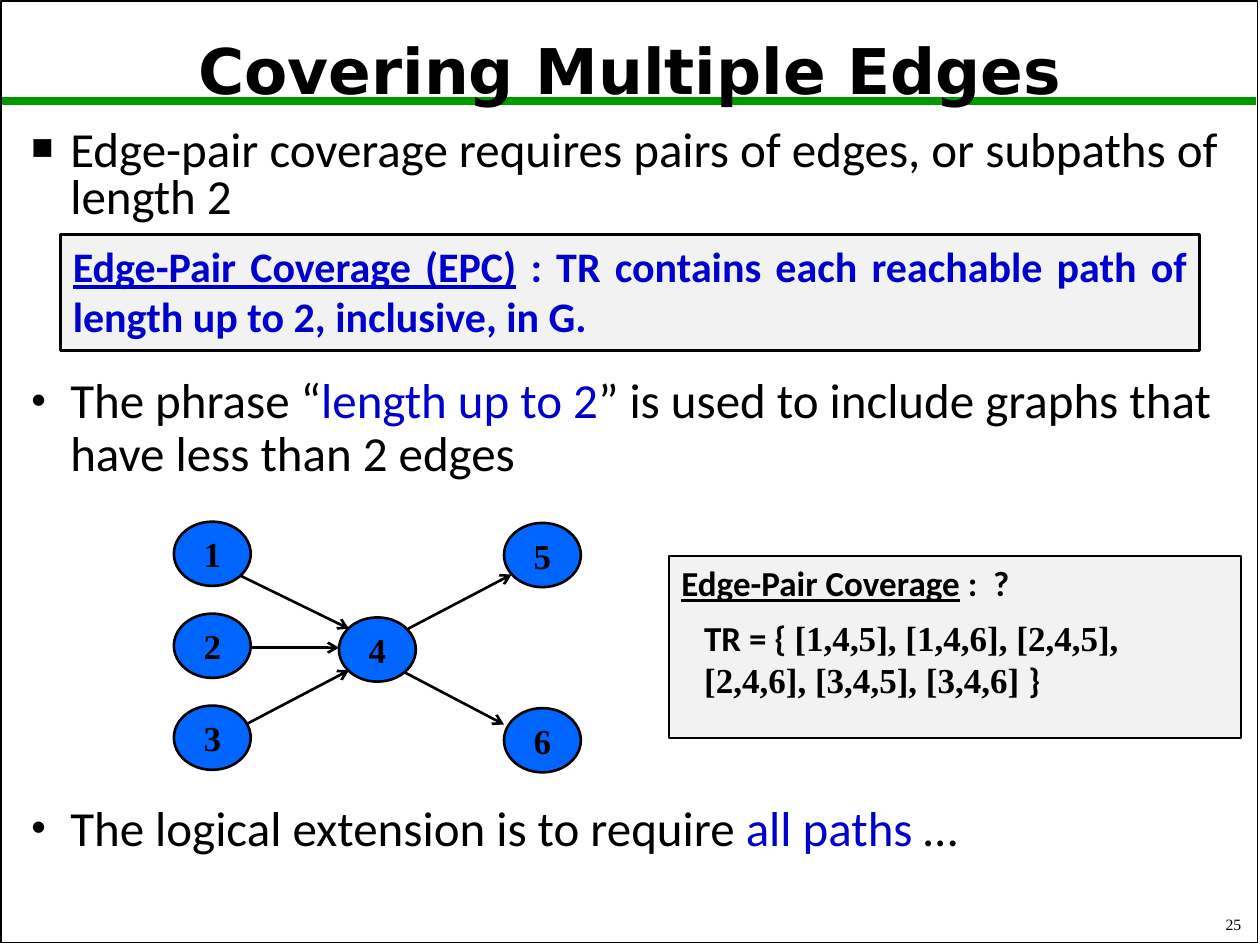
from lxml import etree
from pptx import Presentation
from pptx.dml.color import RGBColor
from pptx.enum.shapes import MSO_CONNECTOR, MSO_SHAPE
from pptx.enum.text import MSO_ANCHOR, PP_ALIGN
from pptx.oxml.ns import qn
from pptx.util import Inches, Pt

STRAIGHT = MSO_CONNECTOR.STRAIGHT
RECTANGLE, OVAL = MSO_SHAPE.RECTANGLE, MSO_SHAPE.OVAL
TOP, MIDDLE, BOTTOM = MSO_ANCHOR.TOP, MSO_ANCHOR.MIDDLE, MSO_ANCHOR.BOTTOM
LEFT, CENTER, RIGHT, JUSTIFY = PP_ALIGN.LEFT, PP_ALIGN.CENTER, PP_ALIGN.RIGHT, PP_ALIGN.JUSTIFY
BLACK, BLUE, GREEN = "000000", "0000CC", "009900"
NODE_BLUE, PALE_GREY = "0066FF", "F2F2F2"
SANS, SERIF, TITLE_FONT = "Calibri", "Times New Roman", "DejaVu Sans"

presentation = Presentation()
presentation.slide_width, presentation.slide_height = Inches(10), Inches(7.5)
slide = presentation.slides.add_slide(presentation.slide_layouts[5])
shapes = slide.shapes
CELL = presentation.slide_width / 100  # grid of 100 columns and 75 rows


def grid(*cells):
    return [round(cell * CELL) for cell in cells]


def write(shape, runs, size, align=LEFT, anchor=TOP, spacing=None):
    """Fill a shape with one paragraph; a run is text, font, colour, bold, underline."""
    frame = shape.text_frame
    frame.word_wrap = True
    frame.vertical_anchor = anchor
    paragraph = frame.paragraphs[0]
    paragraph.alignment = align
    paragraph.space_before = Pt(0)
    if spacing:
        paragraph.line_spacing = spacing
    for text, font, colour, bold, underline in runs:
        run = paragraph.add_run()
        run.text = text
        run.font.name, run.font.size = font, Pt(size)
        run.font.bold, run.font.underline = bold, underline
        run.font.color.rgb = RGBColor.from_string(colour)
    return paragraph


# Lines: page rule and graph edges (from, to, colour, width, arrow)
lines = [
    (0, 8, 99.7, 8, GREEN, 4.5, False),
    (18.9, 45.6, 27.7, 49.9, BLACK, 1.5, True),
    (19.9, 51.4, 26.9, 51.4, BLACK, 1.5, True),
    (19.5, 57.5, 27.7, 53.2, BLACK, 1.5, True),
    (32.4, 49.9, 40.6, 45.6, BLACK, 1.5, True),
    (31.8, 53.2, 40, 57.5, BLACK, 1.5, True),
]
for *ends, colour, width, arrow in lines:
    connector = shapes.add_connector(STRAIGHT, *grid(*ends))
    connector.line.color.rgb = RGBColor.from_string(colour)
    connector.line.width = Pt(width)
    if arrow:
        etree.SubElement(connector.line._get_or_add_ln(), qn("a:tailEnd"), type="arrow")
    etree.SubElement(connector._element.spPr, qn("a:effectLst"))

# Title, in front of the page rule
title = shapes.title
title.left, title.top, title.width, title.height = grid(0.5, 1.1, 99, 9.5)
write(title, [("Covering Multiple Edges", TITLE_FONT, BLACK, True, False)],
      36, CENTER, MIDDLE, 0.9)
shapes._spTree.append(title._element)

# Bulleted statements: top, height, bullet, bullet size, line spacing, runs
statements = [
    (9.8, 7.3, "■", 75, 0.8, [
        ("Edge-pair coverage requires pairs of edges, or subpaths of length 2", BLACK)]),
    (29.4, 8.3, "•", 85, 0.9, [
        ("The phrase “", BLACK), ("length up to 2", BLUE),
        ("” is used to include graphs that have less than 2 edges", BLACK)]),
    (63.3, 4.8, "•", 85, 0.9, [
        ("The logical extension is to require ", BLACK), ("all paths ", BLUE), ("…", BLACK)]),
]
for top, height, bullet, percent, spacing, parts in statements:
    box = shapes.add_textbox(*grid(1.5, top, 97, height))
    runs = [(text, SANS, colour, False, False) for text, colour in parts]
    paragraph = write(box, runs, 28, spacing=spacing)
    properties = paragraph._p.get_or_add_pPr()
    indent = Inches(0.31)
    properties.set("marL", str(indent))
    properties.set("indent", str(-indent))
    etree.SubElement(properties, qn("a:buSzPct"), val=str(percent * 1000))
    etree.SubElement(properties, qn("a:buFont"), typeface="Arial")
    etree.SubElement(properties, qn("a:buChar"), char=bullet)

# Page frame, definition box and answer box
panels = [
    (0.1, 0.1, 99.7, 74.7, None, 1, LEFT, 12, []),
    (4.8, 18.6, 90.4, 9.2, PALE_GREY, 1.5, JUSTIFY, 24, [
        ("Edge-Pair Coverage (EPC)", SANS, BLUE, True, True),
        (" : TR contains each reachable path of length up to 2, inclusive, in G.",
         SANS, BLUE, True, False)]),
    (53.1, 44.1, 45.4, 14.5, PALE_GREY, 1, LEFT, 20, [
        ("Edge-Pair Coverage", SANS, BLACK, True, True),
        (" :  ?", SANS, BLACK, True, False)]),
]
for *place, fill, width, align, size, runs in panels:
    panel = shapes.add_shape(RECTANGLE, *grid(*place))
    panel.shadow.inherit = False
    if fill:
        panel.fill.solid()
        panel.fill.fore_color.rgb = RGBColor.from_string(fill)
    else:
        panel.fill.background()
    panel.line.color.rgb = RGBColor.from_string(BLACK)
    panel.line.width = Pt(width)
    write(panel, runs, size, align)

# Test requirements inside the answer box
requirements = shapes.add_textbox(*grid(54.9, 48.4, 40.3, 7.7))
write(requirements, [
    ("TR = { ", SANS, BLACK, True, False),
    ("[1,4,5], [1,4,6], [2,4,5], [2,4,6], [3,4,5], [3,4,6] ", SERIF, BLACK, True, False),
    ("}", SANS, BLACK, True, False)], 20)

# Graph nodes: left and top
nodes = {
    "1": (13.8, 41.4), "2": (13.8, 48.7), "3": (13.8, 56),
    "4": (26.9, 49), "5": (40, 41.5), "6": (40, 56.2),
}
for label, corner in nodes.items():
    node = shapes.add_shape(OVAL, *grid(*corner, 6.1, 5.1))
    node.shadow.inherit = False
    node.fill.solid()
    node.fill.fore_color.rgb = RGBColor.from_string(NODE_BLUE)
    node.line.color.rgb = RGBColor.from_string(BLACK)
    node.line.width = Pt(1.5)
    write(node, [(label, SERIF, BLACK, True, False)], 20, CENTER, MIDDLE)

# Page number
number = shapes.add_textbox(*grid(78.7, 71.7, 20.8, 2.9))
write(number, [("25", SERIF, BLACK, False, False)], 9, RIGHT, BOTTOM)

presentation.save("out.pptx")
